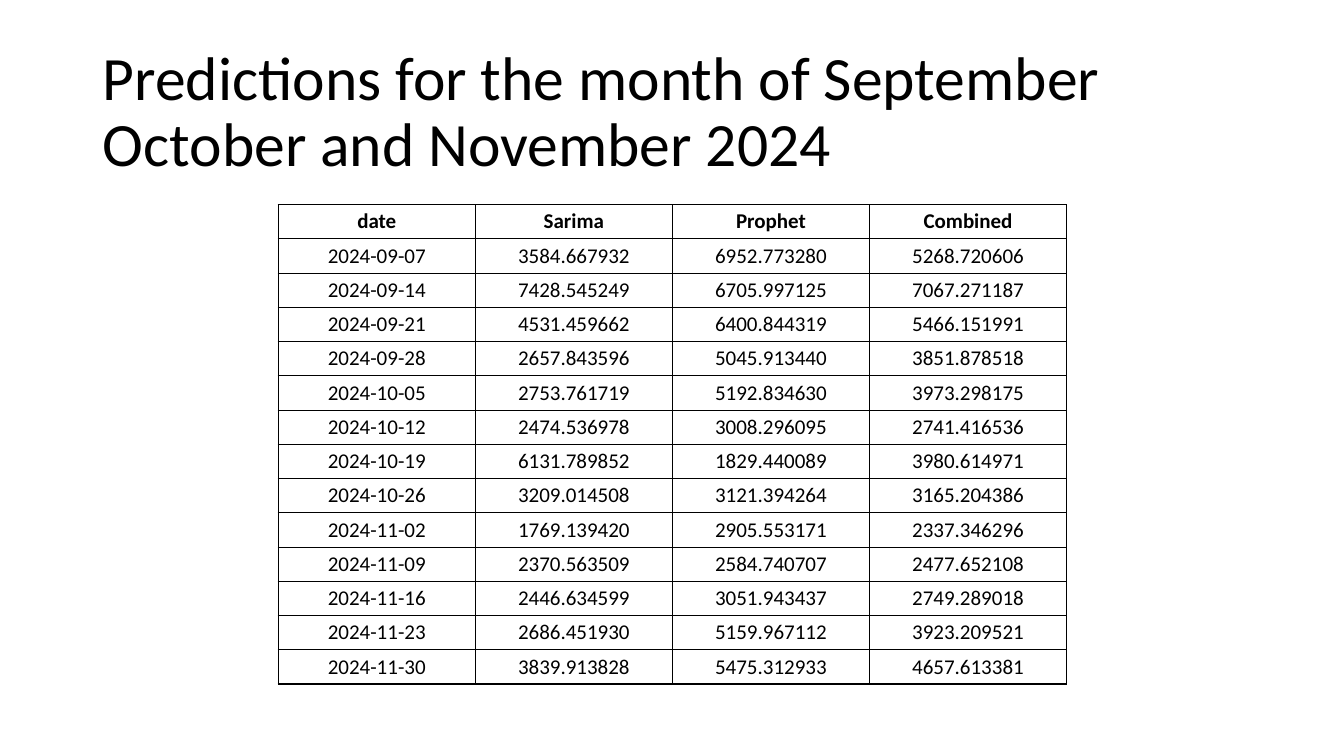
from lxml import etree
from pptx import Presentation
from pptx import util as u
from pptx.dml.color import RGBColor
from pptx.enum import text as t
from pptx.oxml import ns

HUES = {"ink": "000000"}
TITLE = "Predictions for the month of September October and November 2024"
HEADS = ["date", "Sarima", "Prophet", "Combined"]
ROWS = [
    ["2024-09-07", "3584.667932", "6952.773280", "5268.720606"],
    ["2024-09-14", "7428.545249", "6705.997125", "7067.271187"],
    ["2024-09-21", "4531.459662", "6400.844319", "5466.151991"],
    ["2024-09-28", "2657.843596", "5045.913440", "3851.878518"],
    ["2024-10-05", "2753.761719", "5192.834630", "3973.298175"],
    ["2024-10-12", "2474.536978", "3008.296095", "2741.416536"],
    ["2024-10-19", "6131.789852", "1829.440089", "3980.614971"],
    ["2024-10-26", "3209.014508", "3121.394264", "3165.204386"],
    ["2024-11-02", "1769.139420", "2905.553171", "2337.346296"],
    ["2024-11-09", "2370.563509", "2584.740707", "2477.652108"],
    ["2024-11-16", "2446.634599", "3051.943437", "2749.289018"],
    ["2024-11-23", "2686.451930", "5159.967112", "3923.209521"],
    ["2024-11-30", "3839.913828", "5475.312933", "4657.613381"],
]


def write(frame, words, size, bold=False, align=t.PP_ALIGN.LEFT, space=1.0):
    frame.word_wrap = True
    para = frame.paragraphs[0]
    para.alignment = align
    para.line_spacing = space
    run = para.add_run()
    run.text = words
    run.font.name = "Calibri"
    run.font.size = u.Pt(size)
    run.font.bold = bold
    run.font.color.rgb = RGBColor.from_string(HUES["ink"])


def border(cell):
    props = cell._tc.get_or_add_tcPr()
    for spot, side in enumerate(("lnL", "lnR", "lnT", "lnB")):
        line = etree.Element(ns.qn("a:" + side), w=str(u.Pt(1)))
        fill = etree.SubElement(line, ns.qn("a:solidFill"))
        etree.SubElement(fill, ns.qn("a:srgbClr"), val=HUES["ink"])
        props.insert(spot, line)


def add_title(slide, left, top, width, height):
    title = slide.shapes.title
    title.left, title.top = u.Inches(left), u.Inches(top)
    title.width, title.height = u.Inches(width), u.Inches(height)
    frame = title.text_frame
    frame.auto_size = t.MSO_AUTO_SIZE.NONE
    frame.vertical_anchor = t.MSO_ANCHOR.MIDDLE
    write(frame, TITLE, 44, space=0.9)


def add_grid(slide, left, top, width, height):
    data = [HEADS] + ROWS
    box = [u.Inches(n) for n in (left, top, width, height)]
    table = slide.shapes.add_table(len(data), len(HEADS), *box).table
    table.first_row = table.horz_banding = False
    for r, row in enumerate(data):
        for c, words in enumerate(row):
            cell = table.cell(r, c)
            cell.fill.background()
            cell.vertical_anchor = t.MSO_ANCHOR.MIDDLE
            cell.margin_left = cell.margin_right = u.Inches(0.08)
            cell.margin_top = cell.margin_bottom = u.Inches(0.04)
            border(cell)
            write(cell.text_frame, words, 15, bold=r == 0, align=t.PP_ALIGN.CENTER)


def main():
    deck = Presentation()
    deck.slide_width, deck.slide_height = u.Inches(13.33), u.Inches(7.5)
    slide = deck.slides.add_slide(deck.slide_layouts.get_by_name("Title Only"))
    add_title(slide, 0.92, 0.4, 11.5, 1.45)
    add_grid(slide, 2.76, 2.03, 7.82, 4.76)
    deck.save("out.pptx")


if __name__ == "__main__":
    main()
